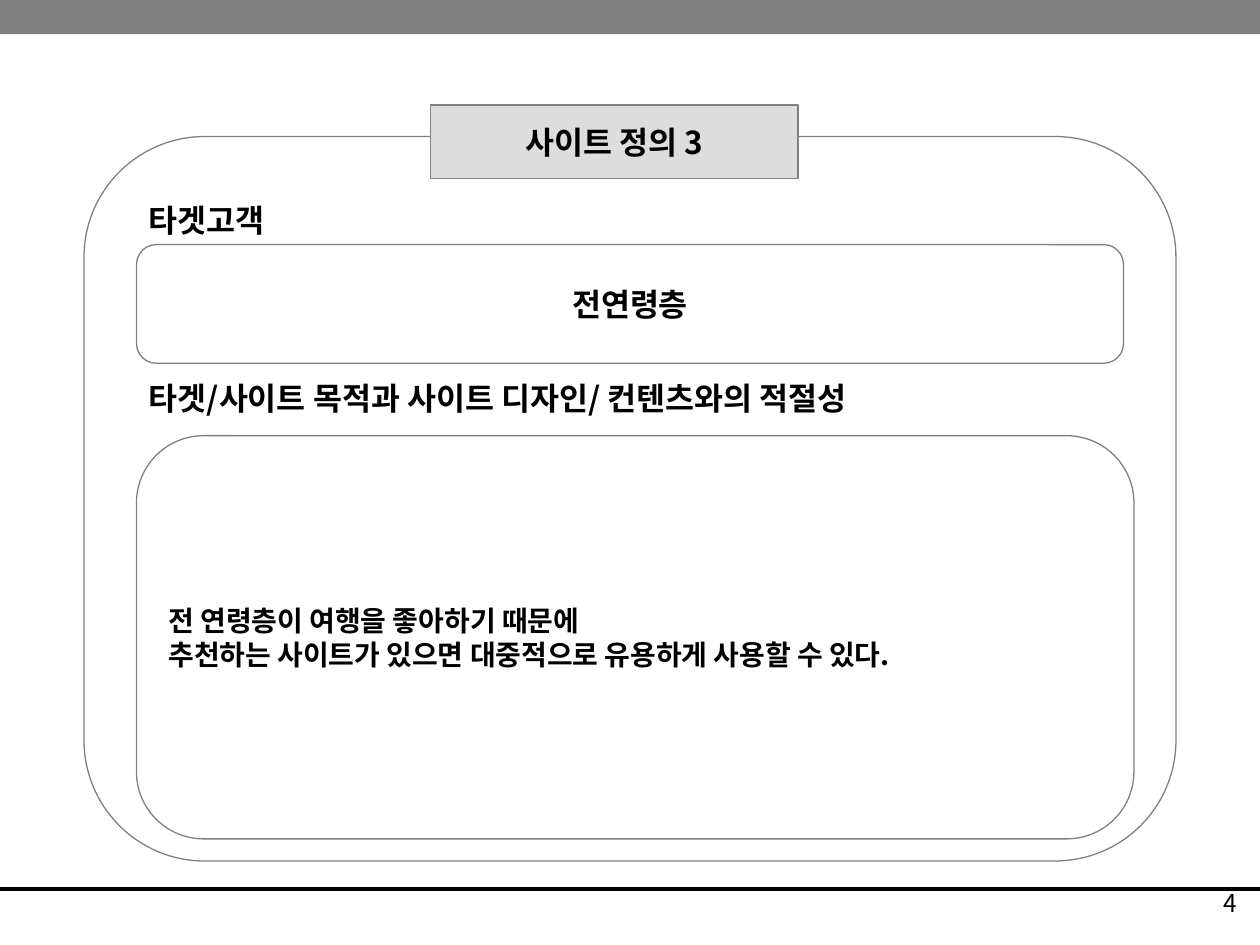
from lxml import etree
from pptx import Presentation
from pptx import util as u
from pptx.dml.color import RGBColor
from pptx.enum import shapes, text
from pptx.oxml.ns import qn

THEME = {
    "font": "Noto Sans CJK KR",
    "ink": RGBColor(0x00, 0x00, 0x00),
    "grey": RGBColor(0x80, 0x80, 0x80),
    "pale": RGBColor(0xDD, 0xDD, 0xDD),
    "head": u.Pt(18), "body": u.Pt(16), "number": u.Pt(14),
    "thin": u.Pt(0.75), "thick": u.Pt(2.25),
}
LEFT, CENTER, RIGHT = text.PP_ALIGN.LEFT, text.PP_ALIGN.CENTER, text.PP_ALIGN.RIGHT
RECT, ROUND = shapes.MSO_SHAPE.RECTANGLE, shapes.MSO_SHAPE.ROUNDED_RECTANGLE

prs = Presentation()
prs.slide_width, prs.slide_height = u.Inches(10), u.Inches(7.5)
s = prs.slides.add_slide(prs.slide_layouts[6])

# Grid of 120 columns by 90 rows
COL, ROW = prs.slide_width / 120, prs.slide_height / 90


def place(col, row, cols, rows):
    return [round(v) for v in (col * COL, row * ROW, cols * COL, rows * ROW)]


def write(sp, lines, size, align, anchor, bold=True):
    tf = sp.text_frame
    for name, value in {"word_wrap": True, "vertical_anchor": anchor}.items():
        setattr(tf, name, value)
    for i, line in enumerate(lines):
        p = tf.paragraphs[0] if i == 0 else tf.add_paragraph()
        p.alignment = align
        r = p.add_run()
        r.text = line
        for name, value in {"size": size, "bold": bold, "name": THEME["font"]}.items():
            setattr(r.font, name, value)
        r.font.color.rgb = THEME["ink"]
        # Hangul takes the East Asian typeface
        ea = etree.SubElement(r.font._element, qn("a:ea"))
        ea.set("typeface", THEME["font"])


# Footer rule
y = round(84.7 * ROW)
rule = s.shapes.add_connector(shapes.MSO_CONNECTOR.STRAIGHT, 0, y, prs.slide_width, y)
rule.line.color.rgb = THEME["ink"]
rule.line.width = THEME["thick"]
etree.SubElement(rule._element.spPr, qn("a:effectLst"))

# Top band, frame, title box and the two answer boxes:
# kind, place, fill, outlined, lines, size, alignment
boxes = [
    (RECT, (0, 0, 120, 3.25), THEME["grey"], False, [], None, None),
    (ROUND, (8, 13, 104, 69), None, True, [], None, None),
    (RECT, (41, 10, 35, 7), THEME["pale"], True, ["사이트 정의 3"], THEME["head"], CENTER),
    (ROUND, (13, 23.3, 94, 11.3), None, True, ["전연령층"], THEME["head"], CENTER),
    (ROUND, (13, 41.5, 95, 38.4), None, True,
     ["전 연령층이 여행을 좋아하기 때문에",
      "추천하는 사이트가 있으면 대중적으로 유용하게 사용할 수 있다."], THEME["body"], LEFT),
]
for kind, spot, fill, outlined, lines, size, align in boxes:
    sp = s.shapes.add_shape(kind, *place(*spot))
    sp.shadow.inherit = False
    if fill is None:
        sp.fill.background()
    else:
        sp.fill.solid()
        sp.fill.fore_color.rgb = fill
    if outlined:
        sp.line.color.rgb = THEME["grey"]
        sp.line.width = THEME["thin"]
    else:
        sp.line.fill.background()
    write(sp, lines, size, align, text.MSO_ANCHOR.MIDDLE)

# Headings and page number
labels = [
    ((13, 18.6, 60, 4.8), "타겟고객", THEME["head"], LEFT, True),
    ((13, 35.5, 84, 4.8), "타겟/사이트 목적과 사이트 디자인/ 컨텐츠와의 적절성", THEME["head"], LEFT, True),
    ((94, 84, 25, 6), "4", THEME["number"], RIGHT, False),
]
for spot, line, size, align, bold in labels:
    write(s.shapes.add_textbox(*place(*spot)), [line], size, align, text.MSO_ANCHOR.TOP, bold)

prs.save("out.pptx")
